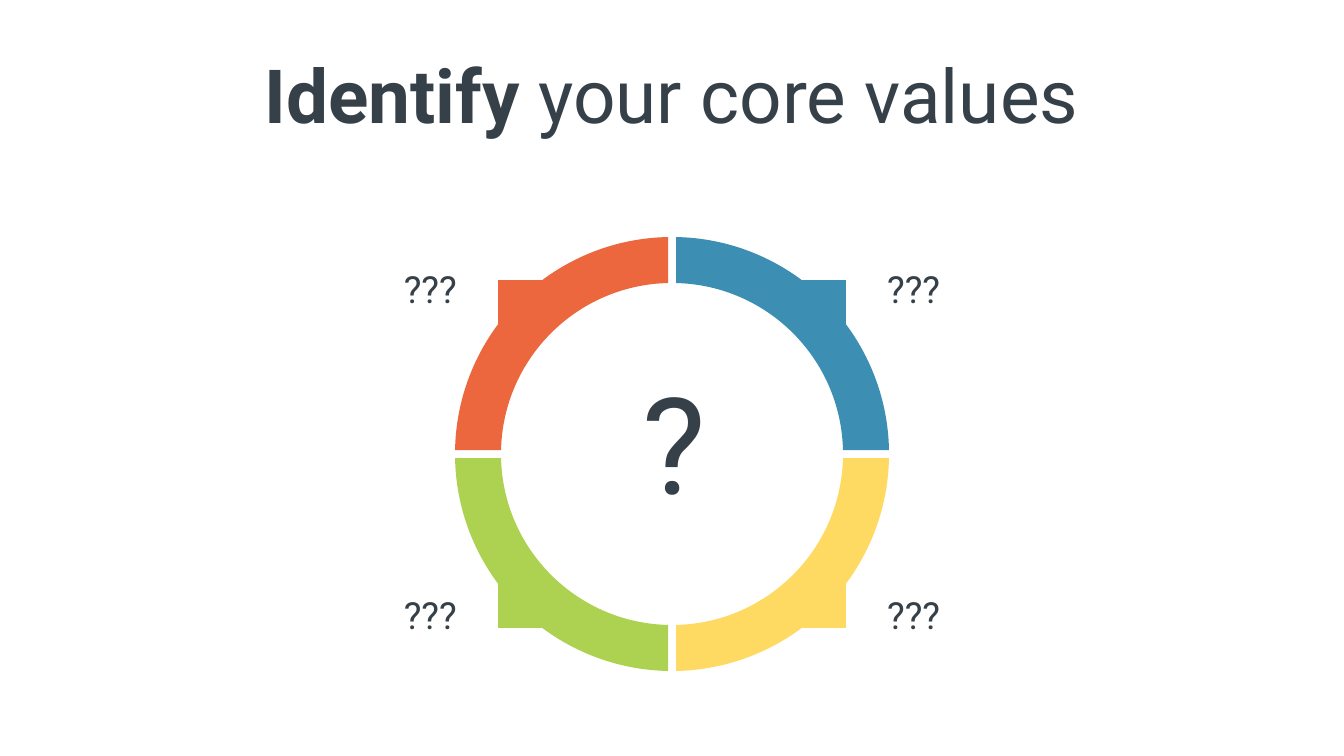
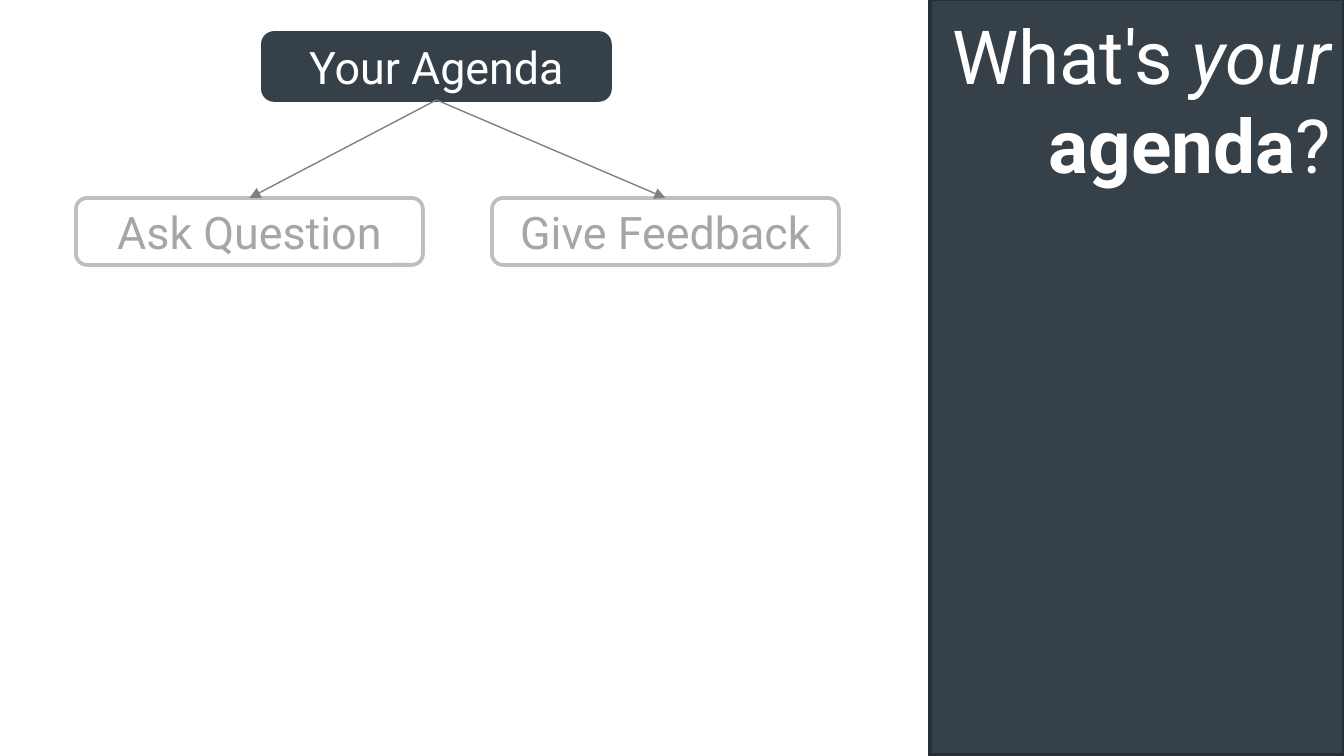
from math import acos, asin, atan2, cos, pi, sin, tan

from lxml.etree import SubElement
from pptx import Presentation
from pptx.dml.color import RGBColor
from pptx.enum.shapes import MSO_CONNECTOR as Connector, MSO_SHAPE as Shape
from pptx.enum.text import MSO_ANCHOR as Anchor, PP_ALIGN as Align
from pptx.oxml.ns import qn
from pptx.util import Pt

PX = 914400 / 134.4
SLIDE_SIZE = (1344, 756)
FONT = "Roboto"
COLORS = {
    "dark": "354049", "dark_edge": "272F36", "white": "FFFFFF",
    "orange": "EC673D", "blue": "3C8EB2", "yellow": "FFDA63", "green": "ADD251",
    "pale": "BFBFBF", "muted": "A6A6A6", "arrow": "808080",
}

VALUES_TITLE = [("Identify", "bold"), (" your core values", "")]
VALUES_QUESTION = "?"
CORE_VALUES = [
    ("???", "orange", -1, -1),
    ("???", "yellow", 1, 1),
    ("???", "green", -1, 1),
    ("???", "blue", 1, -1),
]
RING = {"center": (672, 454), "outer": 217, "inner": 171, "gap": 4, "tab": 174}
VALUE_LABEL = {"center": (672, 452), "size": (380, 136), "offset": (392, 163)}

AGENDA_TITLE = [("What's ", ""), ("your ", "italic"), ("agenda", "bold"), ("?", "")]
AGENDA_ROOT = "Your Agenda"
AGENDA_CHOICES = ["Ask Question", "Give Feedback"]
AGENDA_BOX = (347, 67)
ROOT_CORNER = (263, 33)
CHOICES_CORNER = (76, 198)
CHOICE_STEP = 416


def px(*lengths):
    return [round(length * PX) for length in lengths]


def rgb(name):
    return RGBColor.from_string(COLORS[name])


def write(shape, runs, size, color, align, anchor=Anchor.MIDDLE, before=0):
    frame = shape.text_frame
    frame.word_wrap = True
    frame.vertical_anchor = anchor
    paragraph = frame.paragraphs[0]
    paragraph.alignment = align
    paragraph.space_before = Pt(before)
    paragraph.font.name = FONT
    paragraph.font.size = Pt(size)
    paragraph.font.color.rgb = rgb(color)
    for text, style in runs:
        run = paragraph.add_run()
        run.text = text
        if style:
            setattr(run.font, style, True)


def add_text(slide, box, *text_options, **more_options):
    write(slide.shapes.add_textbox(*px(*box)), *text_options, **more_options)


def paint(shape, fill, line=None):
    shape.shadow.inherit = False
    shape.fill.solid()
    shape.fill.fore_color.rgb = rgb(fill)
    if line:
        shape.line.color.rgb = rgb(line)
        shape.line.width = Pt(2)
    else:
        shape.line.fill.background()


def add_box(slide, kind, box, fill, line):
    shape = slide.shapes.add_shape(kind, *px(*box))
    paint(shape, fill, line)
    return shape


def polar(radius, angle):
    return radius * cos(angle), radius * sin(angle)


def quadrant_corners():
    outer, inner, gap, tab = (RING[key] for key in ("outer", "inner", "gap", "tab"))
    outer_edge, inner_edge, tab_edge = asin(gap / outer), asin(gap / inner), acos(tab / outer)
    return [
        (polar(outer, outer_edge), False),
        (polar(outer, tab_edge), True),
        ((tab, tab), False),
        (polar(outer, pi / 2 - tab_edge), False),
        (polar(outer, pi / 2 - outer_edge), True),
        (polar(inner, pi / 2 - inner_edge), False),
        (polar(inner, inner_edge), True),
    ]


def arc_controls(start, end):
    (start_x, start_y), (end_x, end_y) = start, end
    pull = 4 / 3 * tan((atan2(end_y, end_x) - atan2(start_y, start_x)) / 4)
    return [(start_x - pull * start_y, start_y + pull * start_x),
            (end_x + pull * end_y, end_y - pull * end_x)]


def add_quadrant(slide, color, side_x, side_y):
    center_x, center_y = RING["center"]

    def place(point):
        return px(center_x + side_x * point[0], center_y + side_y * point[1])

    corners = quadrant_corners()
    points = [point for point, _ in corners]
    builder = slide.shapes.build_freeform(*place(points[0]), scale=1.0)
    builder.add_line_segments([place(point) for point in points[1:]], close=True)
    shape = builder.convert_to_shape()
    segments = list(shape._element.iter(qn("a:lnTo")))
    for segment, start, (end, curved) in zip(segments, points, corners[1:]):
        if not curved:
            continue
        segment.tag = qn("a:cubicBezTo")
        for index, control in enumerate(arc_controls(start, end)):
            x, y = place(control)
            node = SubElement(segment, qn("a:pt"), x=str(x - shape.left), y=str(y - shape.top))
            segment.insert(index, node)
    paint(shape, color)


def add_value_label(slide, text, side_x, side_y):
    center_x, center_y = VALUE_LABEL["center"]
    width, height = VALUE_LABEL["size"]
    offset_x, offset_y = VALUE_LABEL["offset"]
    left = center_x + side_x * offset_x - width / 2
    top = center_y + side_y * offset_y - height / 2
    align = Align.LEFT if side_x > 0 else Align.RIGHT
    add_text(slide, (left, top, width, height), [(text, "")], 20, "dark", align, before=4)


def add_arrow(slide, start, end):
    connector = slide.shapes.add_connector(Connector.STRAIGHT, *px(*start, *end))
    connector.line.color.rgb = rgb("arrow")
    connector.line.width = Pt(0.75)
    SubElement(connector.line._get_or_add_ln(), qn("a:tailEnd"), type="triangle")
    SubElement(connector._element.spPr, qn("a:effectLst"))


def add_agenda_box(slide, corner, text, fill, line, color):
    shape = add_box(slide, Shape.ROUNDED_RECTANGLE, (*corner, *AGENDA_BOX), fill, line)
    write(shape, [(text, "")], 24, color, Align.CENTER)


def build_values(slide):
    add_text(slide, (66, 31, 1211, 126), VALUES_TITLE, 40, "dark", Align.CENTER)
    for text, color, side_x, side_y in CORE_VALUES:
        add_quadrant(slide, color, side_x, side_y)
        add_value_label(slide, text, side_x, side_y)
    add_text(slide, (567, 354, 214, 176), [(VALUES_QUESTION, "")], 72, "dark",
             Align.CENTER, Anchor.TOP)


def build_agenda(slide):
    add_box(slide, Shape.RECTANGLE, (930, -1, 414, 756), "dark", "dark_edge")
    add_text(slide, (907, 3, 437, 195), AGENDA_TITLE, 40, "white",
             Align.RIGHT, Anchor.TOP)
    width, height = AGENDA_BOX
    root_left, root_top = ROOT_CORNER
    choices_left, choices_top = CHOICES_CORNER
    add_agenda_box(slide, ROOT_CORNER, AGENDA_ROOT, "dark", "dark", "white")
    lefts = [choices_left + index * CHOICE_STEP for index in range(len(AGENDA_CHOICES))]
    for left, text in zip(lefts, AGENDA_CHOICES):
        add_agenda_box(slide, (left, choices_top), text, "white", "pale", "muted")
    for left in lefts:
        add_arrow(slide, (root_left + width / 2, root_top + height),
                  (left + width / 2, choices_top))


def main():
    presentation = Presentation()
    presentation.slide_width, presentation.slide_height = px(*SLIDE_SIZE)
    for build in (build_values, build_agenda):
        build(presentation.slides.add_slide(presentation.slide_layouts[6]))
    presentation.save("out.pptx")


if __name__ == "__main__":
    main()
